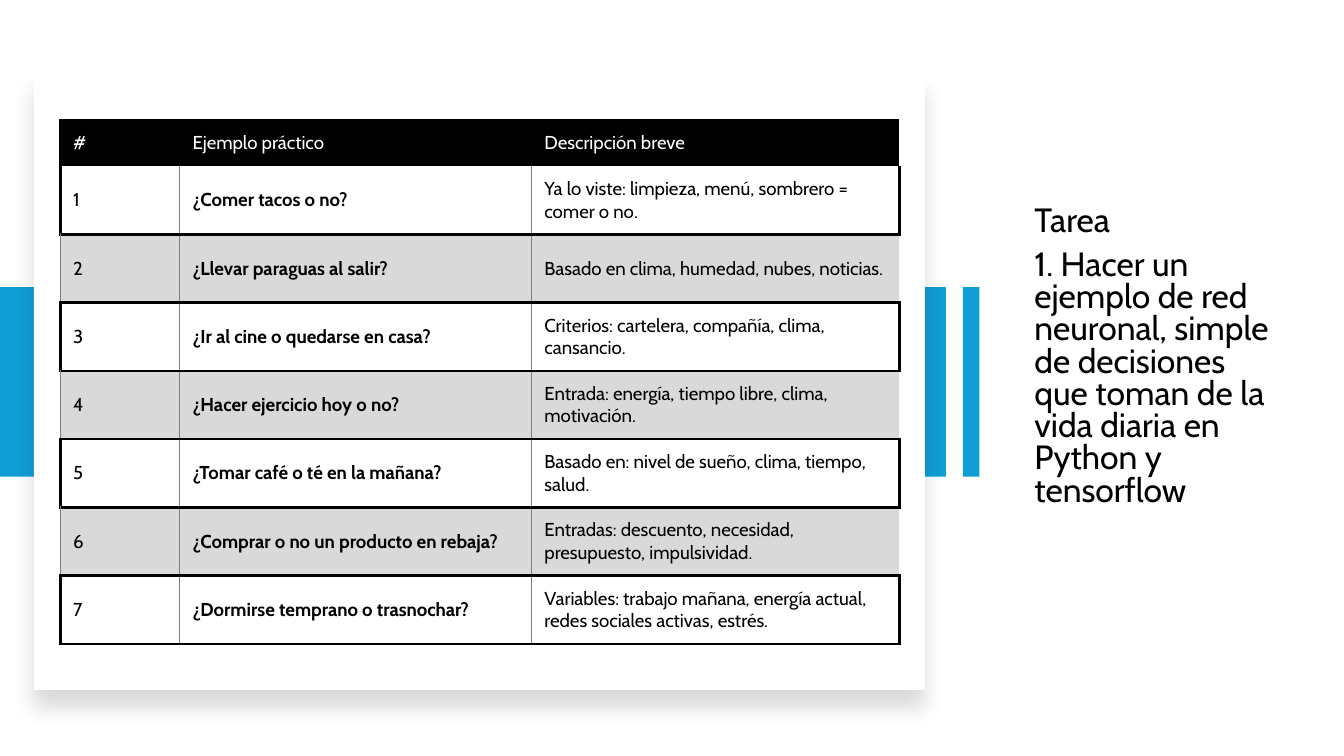
from lxml import etree
from pptx import Presentation
from pptx.dml.color import RGBColor
from pptx.enum.shapes import MSO_SHAPE
from pptx.enum.text import MSO_ANCHOR
from pptx.oxml.ns import qn
from pptx.util import Cm, Pt

RECTANGLE = MSO_SHAPE.RECTANGLE
MIDDLE = MSO_ANCHOR.MIDDLE

FONT = "Cabin"
COLORS = {"black": "000000", "white": "FFFFFF", "blue": "0F9ED5",
          "band": "D9D9D9", "grid": "808080"}
PLAIN_TABLE_STYLE = "{2D5ABB26-0587-4C30-8999-92F81FD0307C}"

THICK = ("black", 1.5)
THIN = ("grid", 0.5)

HEADINGS = ("#", "Ejemplo práctico", "Descripción breve")
EXAMPLES = [
    ("¿Comer tacos o no?",
     "Ya lo viste: limpieza, menú, sombrero = comer o no."),
    ("¿Llevar paraguas al salir?",
     "Basado en clima, humedad, nubes, noticias."),
    ("¿Ir al cine o quedarse en casa?",
     "Criterios: cartelera, compañía, clima, cansancio."),
    ("¿Hacer ejercicio hoy o no?",
     "Entrada: energía, tiempo libre, clima, motivación."),
    ("¿Tomar café o té en la mañana?",
     "Basado en: nivel de sueño, clima, tiempo, salud."),
    ("¿Comprar o no un producto en rebaja?",
     "Entradas: descuento, necesidad, presupuesto, impulsividad."),
    ("¿Dormirse temprano o trasnochar?",
     "Variables: trabajo mañana, energía actual, redes sociales activas, estrés."),
]
TASK = (
    "Tarea",
    "1. Hacer un ejemplo de red neuronal, simple de decisiones que toman "
    "de la vida diaria en Python y tensorflow",
)
COLUMN_WIDTHS = (2.26, 6.65, 6.95)
HEADER_HEIGHT = 0.87
ROW_HEIGHT = 1.29


def rgb(name):
    return RGBColor.from_string(COLORS[name])


def set_all(target, values):
    for name, value in values.items():
        setattr(target, name, value)


def style_font(font, size, color, bold=False):
    set_all(font, {"name": FONT, "size": Pt(size), "bold": bold})
    font.color.rgb = rgb(color)


def add_block(slide, left, top, width, height, color):
    block = slide.shapes.add_shape(
        RECTANGLE, Cm(left), Cm(top), Cm(width), Cm(height))
    block.shadow.inherit = False
    block.fill.solid()
    block.fill.fore_color.rgb = rgb(color)
    block.line.fill.background()
    return block


def add_soft_shadow(block):
    """Give the block a faint shadow that falls straight down."""
    effects = block._element.spPr.find(qn("a:effectLst"))
    shadow = etree.SubElement(
        effects, qn("a:outerShdw"), blurRad=str(Pt(11)), dist=str(Pt(10)),
        dir="5400000", algn="t", rotWithShape="0")
    tint = etree.SubElement(shadow, qn("a:srgbClr"), val=COLORS["black"])
    etree.SubElement(tint, qn("a:alpha"), val="15000")


def cell_borders(row, column):
    """Return the borders of a cell as {side: (color, points)}."""
    last = column == len(HEADINGS) - 1
    if row == 0:
        borders = {"L": THICK, "T": THICK}
        if not last:
            borders["R"] = THICK
    elif row % 2:
        borders = {"L": THIN if column else THICK,
                   "R": THICK if last else THIN, "B": THICK}
    else:
        borders = {"L": THIN, "T": THICK}
        if not last:
            borders["R"] = THIN
    return borders


def draw_borders(cell, borders):
    properties = cell._tc.get_or_add_tcPr()
    for side in "LRTB":
        if side in borders:
            color, points = borders[side]
            line = etree.SubElement(
                properties, qn(f"a:ln{side}"), w=str(Pt(points)))
            fill = etree.SubElement(line, qn("a:solidFill"))
            etree.SubElement(fill, qn("a:srgbClr"), val=COLORS[color])


def fill_cell(cell, text, row, column):
    set_all(cell, {
        "text": text, "vertical_anchor": MIDDLE,
        "margin_left": Cm(0.24), "margin_right": Cm(0.16),
        "margin_top": Cm(0.17), "margin_bottom": Cm(0.17)})
    style_font(cell.text_frame.paragraphs[0].runs[0].font, 10,
               "black" if row else "white", bold=row > 0 and column == 1)
    draw_borders(cell, cell_borders(row, column))
    if row % 2:
        cell.fill.background()
    else:
        cell.fill.solid()
        cell.fill.fore_color.rgb = rgb("band" if row else "black")


def add_examples_table(slide, left, top):
    rows = [HEADINGS]
    rows += [(str(number), *example)
             for number, example in enumerate(EXAMPLES, 1)]
    table = slide.shapes.add_table(
        len(rows), len(HEADINGS), Cm(left), Cm(top), Cm(sum(COLUMN_WIDTHS)),
        Cm(HEADER_HEIGHT + ROW_HEIGHT * len(EXAMPLES))).table
    table.horz_banding = False
    table._tbl.tblPr.find(qn("a:tableStyleId")).text = PLAIN_TABLE_STYLE
    for column, width in zip(table.columns, COLUMN_WIDTHS):
        column.width = Cm(width)
    for row, texts in enumerate(rows):
        table.rows[row].height = Cm(ROW_HEIGHT if row else HEADER_HEIGHT)
        for column, text in enumerate(texts):
            fill_cell(table.cell(row, column), text, row, column)


def add_task(slide, left, top, width, height):
    frame = slide.shapes.add_textbox(
        Cm(left), Cm(top), Cm(width), Cm(height)).text_frame
    set_all(frame, {"word_wrap": True, "vertical_anchor": MIDDLE,
                    "margin_bottom": Cm(0.96)})
    for index, text in enumerate(TASK):
        paragraph = frame.add_paragraph() if index else frame.paragraphs[0]
        set_all(paragraph, {"line_spacing": 0.8, "space_after": Pt(6)})
        run = paragraph.add_run()
        run.text = text
        style_font(run.font, 18, "black")


def main():
    deck = Presentation()
    set_all(deck, {"slide_width": Cm(25.4), "slide_height": Cm(14.29)})
    slide = deck.slides.add_slide(deck.slide_layouts[6])

    add_task(slide, 19.3, 4.22, 5.16, 5.92)
    add_block(slide, 0, 5.43, 17.88, 3.58, "blue")
    card = add_block(slide, 0.64, 1.38, 16.84, 11.66, "white")
    add_soft_shadow(card)
    add_block(slide, 18.2, 5.43, 0.31, 3.58, "blue")
    add_examples_table(slide, 1.14, 2.27)

    deck.save("out.pptx")


if __name__ == "__main__":
    main()
